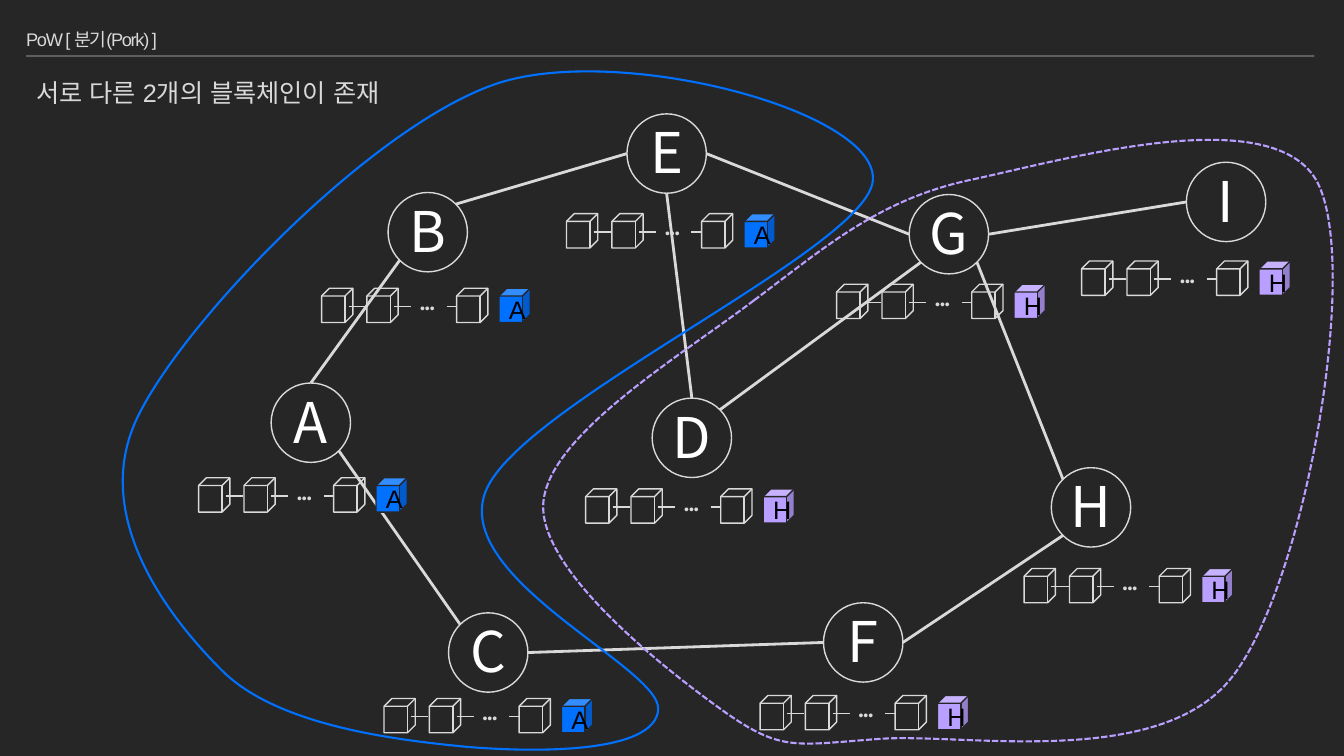
from math import cos, radians, sin

from lxml.etree import SubElement
from pptx import Presentation
from pptx.dml.color import RGBColor
from pptx.enum.dml import MSO_LINE
from pptx.enum.shapes import MSO_CONNECTOR, MSO_SHAPE
from pptx.enum.text import MSO_ANCHOR, MSO_AUTO_SIZE, PP_ALIGN
from pptx.oxml.ns import qn
from pptx.util import Cm, Pt

# Content: places are in inches, turned into Cm by cm()
TITLE = "PoW [ 분기(Pork) ]"
HEADING = "서로 다른 2개의 블록체인이 존재"
DOTS = "•••"

# node: (left, top), (chain left, chain top), last block
NODES = {
    "A": ((2.69, 3.8), (1.97, 4.74), "A"),
    "I": ((11.77, 1.61), (10.73, 2.59), "H"),
    "H": ((10.43, 4.64), (10.16, 5.64), "H"),
    "G": ((9.02, 1.93), (8.3, 2.82), "H"),
    "F": ((8.17, 5.98), (7.54, 6.9), "H"),
    "E": ((6.22, 1.13), (5.62, 2.12), "A"),
    "D": ((6.47, 3.95), (5.81, 4.85), "H"),
    "C": ((4.45, 6.08), (3.81, 6.93), "A"),
    "B": ((3.85, 1.91), (3.19, 2.86), "A"),
}
# Circle sites, counter-clockwise from the top in steps of 45 degrees
TOP, TOP_LEFT, LEFT, LOW_LEFT, BOTTOM, LOW_RIGHT, RIGHT, TOP_RIGHT = range(8)
EDGES = [
    ("A", TOP, "B", LOW_LEFT), ("E", LEFT, "B", TOP_RIGHT),
    ("E", BOTTOM, "D", TOP), ("A", LOW_RIGHT, "C", TOP_LEFT),
    ("C", RIGHT, "F", LEFT), ("F", RIGHT, "H", LOW_LEFT),
    ("D", TOP_RIGHT, "G", LOW_LEFT), ("G", RIGHT, "I", LEFT),
    ("G", LEFT, "E", RIGHT), ("G", LOW_RIGHT, "H", TOP_LEFT),
]
# Regions: block, dash, box, start point, curves of two controls and an end
REGIONS = [
    ("A", None, (1.22, 0.71, 7.44, 6.73), (1.36, 4.15), [
        ((0.9, 5.12), (1.66, 6.11), (2.2, 6.65)),
        ((2.75, 7.2), (3.91, 7.34), (4.63, 7.41)),
        ((5.35, 7.47), (6.5, 7.47), (6.53, 7.04)),
        ((6.56, 6.62), (4.47, 5.74), (4.82, 4.87)),
        ((5.18, 3.99), (8.64, 2.45), (8.66, 1.78)),
        ((8.69, 1.1), (6.18, 0.44), (4.96, 0.82)),
        ((3.73, 1.21), (1.82, 3.18), (1.36, 4.15))]),
    ("H", MSO_LINE.SQUARE_DOT, (5.39, 1.39, 7.83, 5.99), (7.48, 2.98), [
        ((6.77, 3.52), (5.44, 4.31), (5.39, 4.99)),
        ((5.34, 5.67), (6.65, 6.68), (7.2, 7.07)),
        ((7.76, 7.46), (7.89, 7.39), (8.73, 7.33)),
        ((9.56, 7.27), (11.5, 7.64), (12.22, 6.72)),
        ((12.95, 5.8), (13.5, 2.64), (13.07, 1.81)),
        ((12.64, 0.99), (10.58, 1.58), (9.65, 1.78)),
        ((8.73, 1.97), (8.19, 2.45), (7.48, 2.98))]),
]
THEME = {
    "back": "262626", "line": "D9D9D9", "rule": "F2F2F2", "node": "FFFFFF",
    "ink": "000000", "A": "0071FF", "H": "B99FFF",
    "font": "Arial", "node_font": "Noto Sans CJK KR",
    "title": 13, "heading": 18, "letter": 40, "block": 18, "dots": 10,
}
INCH = 2.54
NODE = 2 / INCH
RULE_Y = 1.41 / INCH
CUBE_W, CUBE_H = 0.31, 0.34
CUBES, LAST_CUBE = (0, 0.45, 1.34), 1.76
LINKS, LINK_Y = ((0.27, 0.44), (0.72, 0.89), (1.24, 1.34)), 0.18
INSETS = (0.1, 0.05, 0.1, 0.05)


def cm(inches):
    return Cm(inches * INCH)


def color(name):
    return RGBColor.from_string(THEME[name])


def write(sp, text, size, ink, font="font", margins=(0, 0.05, 0, 0.05),
          anchor=MSO_ANCHOR.MIDDLE, align=PP_ALIGN.CENTER, wrap=True,
          fit=MSO_AUTO_SIZE.NONE):
    tf = sp.text_frame
    sides = ("margin_left", "margin_top", "margin_right", "margin_bottom")
    frame = {"word_wrap": wrap, "vertical_anchor": anchor, "auto_size": fit}
    frame.update(zip(sides, map(cm, margins)))
    for key, value in frame.items():
        setattr(tf, key, value)
    p = tf.paragraphs[0]
    p.alignment = align
    r = p.add_run()
    r.text = text
    for key, value in {"name": THEME[font], "size": Pt(THEME[size])}.items():
        setattr(r.font, key, value)
    r.font.color.rgb = color(ink)
    SubElement(r.font._element, qn("a:ea"), typeface=THEME[font])
    return p


def outline(sp, line, width, fill=None):
    sp.shadow.inherit = False
    if fill:
        sp.fill.solid()
        sp.fill.fore_color.rgb = color(fill)
    else:
        sp.fill.background()
    sp.line.color.rgb = color(line)
    sp.line.width = Pt(width)


def add_line(shapes, start, end, width, ink="line"):
    c = shapes.add_connector(MSO_CONNECTOR.STRAIGHT, *map(cm, start + end))
    c.line.color.rgb = color(ink)
    c.line.width = Pt(width)
    SubElement(c._element.spPr, qn("a:effectLst"))
    return c


def add_cube(shapes, x, y, line="line", fill=None):
    sp = shapes.add_shape(MSO_SHAPE.CUBE, *map(cm, (x, y, CUBE_W, CUBE_H)))
    outline(sp, line, 1, fill)
    return sp


def add_text(shapes, box, *args, **kwargs):
    return write(shapes.add_textbox(*map(cm, box)), *args, **kwargs)


def site(name, i):
    x, y = NODES[name][0]
    angle, radius = radians(90 + 45 * i), NODE / 2
    return x + radius * (1 + cos(angle)), y + radius * (1 - sin(angle))


def add_chain(slide, x, y, block):
    shapes = slide.shapes.add_group_shape().shapes
    last = add_cube(shapes, x + LAST_CUBE, y, "back", block)
    write(last, block, "block", "ink", margins=INSETS)
    for dx in CUBES:
        add_cube(shapes, x + dx, y)
    for x1, x2 in LINKS:
        add_line(shapes, (x + x1, y + LINK_Y), (x + x2, y + LINK_Y), 1)
    add_text(shapes, (x + 0.91, y + 0.06, 0.28, 0.27), DOTS, "dots", "line",
             fit=MSO_AUTO_SIZE.SHAPE_TO_FIT_TEXT)


def add_region(shapes, box, start, curves):
    x, y, w, h = map(cm, box)
    builder = shapes.build_freeform(x, y)
    builder.add_line_segments([(x + w, y), (x + w, y + h), (x, y + h)])
    region = builder.convert_to_shape()
    # The outline within the box is made of cubic curves
    outline_path = region._element.find(".//" + qn("a:path"))
    for child in list(outline_path):
        outline_path.remove(child)
    for tag, points in [("moveTo", [start])] + [("cubicBezTo", c) for c in curves]:
        step = SubElement(outline_path, qn("a:" + tag))
        for px, py in points:
            SubElement(step, qn("a:pt"), x=str(cm(px) - x), y=str(cm(py) - y))
    SubElement(outline_path, qn("a:close"))
    return region


prs = Presentation()
prs.slide_width, prs.slide_height = cm(13.333), cm(7.5)
s = prs.slides.add_slide(prs.slide_layouts[6])
s.background.fill.solid()
s.background.fill.fore_color.rgb = color("back")

# Title and rule
rule = add_line(s.shapes, (0.26, RULE_Y), (13.04, RULE_Y), 0.5, "rule")
SubElement(rule._element.find(".//" + qn("a:srgbClr")), qn("a:alpha"), val="80000")
p = add_text(s.shapes, (0.26, 0.21, 12.81, 0.35), TITLE, "title", "line",
             align=PP_ALIGN.LEFT)
p.line_spacing = 1.05
p.runs[0].font._element.set("spc", "-90")

# Network nodes
circles = {}
for name, (place, _, _) in NODES.items():
    sp = s.shapes.add_shape(MSO_SHAPE.OVAL, *map(cm, place + (NODE, NODE)))
    outline(sp, "line", 1)
    write(sp, name, "letter", "node", "node_font", (0, 0, 0, 0.04))
    circles[name] = sp

# Network edges, joined to the circles' sites
for a, i, b, j in EDGES:
    start, end = site(a, i), site(b, j)
    edge = add_line(s.shapes, start, end, 2)
    edge.begin_connect(circles[a], i % 4)
    edge.end_connect(circles[b], j % 4)
    edge._element.find(".//" + qn("a:stCxn")).set("idx", str(i))
    edge._element.find(".//" + qn("a:endCxn")).set("idx", str(j))
    edge.begin_x, edge.begin_y = map(cm, start)
    edge.end_x, edge.end_y = map(cm, end)

# Heading
add_text(s.shapes, (0.26, 0.72, 3.9, 0.4), HEADING, "heading", "line",
         margins=INSETS, anchor=MSO_ANCHOR.TOP, align=PP_ALIGN.LEFT, wrap=False,
         fit=MSO_AUTO_SIZE.SHAPE_TO_FIT_TEXT)

# Block chains
for _, (x, y), block in NODES.values():
    add_chain(s, x, y, block)

# Regions of the two chains
for block, dash, box, start, curves in REGIONS:
    region = add_region(s.shapes, box, start, curves)
    outline(region, block, 1.5)
    if dash:
        region.line.dash_style = dash

prs.save("out.pptx")
